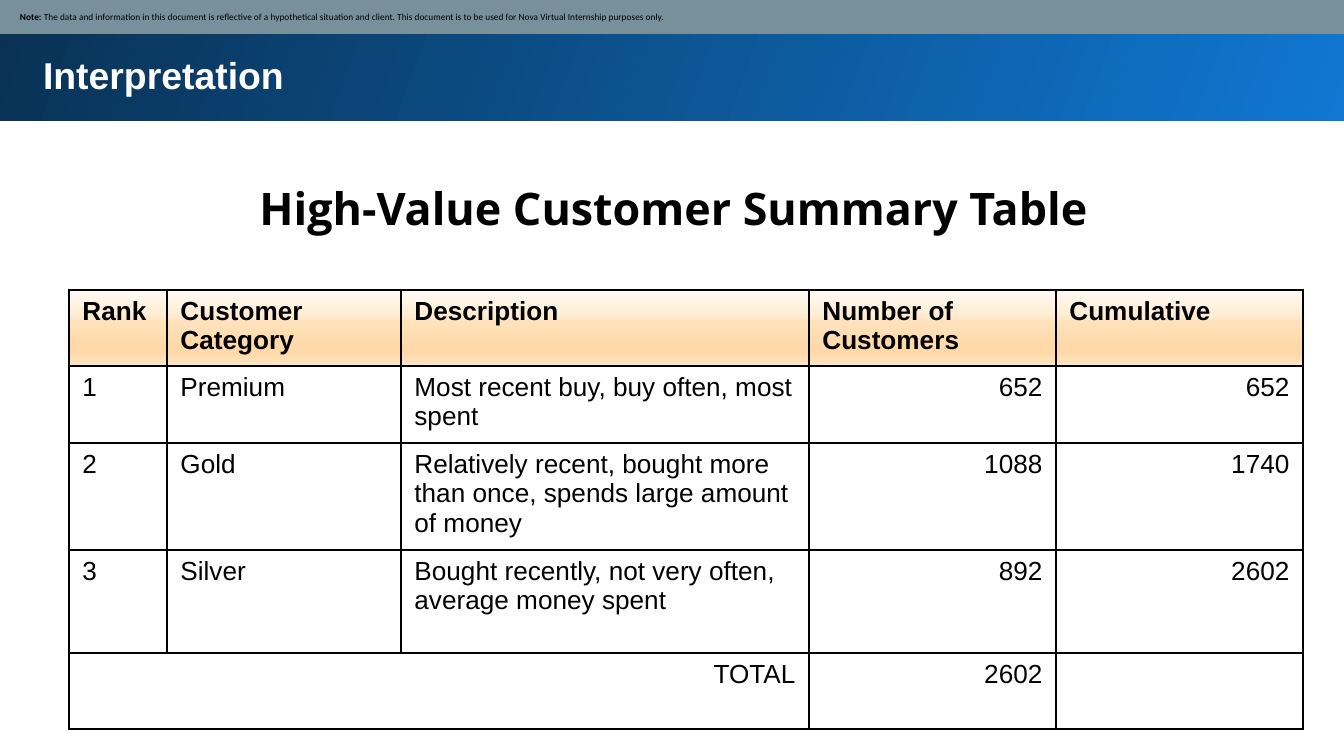
from dataclasses import dataclass
from typing import Any

import lxml.etree
import pptx
import pptx.dml.color
import pptx.enum.shapes
import pptx.enum.text
import pptx.oxml
import pptx.oxml.ns
import pptx.util

ALIGN = pptx.enum.text.PP_ALIGN
ANCHOR = pptx.enum.text.MSO_ANCHOR


def px(n: int) -> int:
    return round(n * 914400 / 134.4)


@dataclass(frozen=True)
class Theme:
    black: str = "000000"
    white: str = "FFFFFF"
    note_fill: str = "78909C"
    band_stops: tuple = ((0, "1077D2"), (100, "093153"))
    header_stops: tuple = ((0, "FFFBF5"), (37, "FFEACF"), (41, "FFE2BC"),
                           (74, "FFD9A9"), (83, "FFD9A9"), (100, "FFE6C6"))
    body_font: str = "Arial"
    heading_font: str = "Open Sans"
    note_font: str = "Calibri"
    title_size: int = 20
    heading_size: int = 24
    table_size: int = 14
    note_size: int = 5
    border: int = 1


@dataclass(frozen=True)
class Box:
    left: int
    top: int
    width: int
    height: int

    def emu(self) -> tuple[int, ...]:
        return tuple(px(n) for n in (self.left, self.top, self.width, self.height))


@dataclass(frozen=True)
class Column:
    title: str
    width: int
    align: Any = ALIGN.LEFT


@dataclass(frozen=True)
class Row:
    height: int
    values: tuple[str, ...]


THEME = Theme()
COLUMNS = (
    Column("Rank", 98),
    Column("Customer Category", 234),
    Column("Description", 408),
    Column("Number of Customers", 247, ALIGN.RIGHT),
    Column("Cumulative", 247, ALIGN.RIGHT),
)
ROWS = (
    Row(76, tuple(c.title for c in COLUMNS)),
    Row(77, ("1", "Premium", "Most recent buy, buy often, most spent", "652", "652")),
    Row(107, ("2", "Gold", "Relatively recent, bought more than once, "
              "spends large amount of money", "1088", "1740")),
    Row(103, ("3", "Silver", "Bought recently, not very often, average money spent",
              "892", "2602")),
    Row(76, ("TOTAL", "", "", "2602", "")),
)


def rgb(color: str) -> pptx.dml.color.RGBColor:
    return pptx.dml.color.RGBColor.from_string(color)


def gradient(stops: tuple, angle: int) -> Any:
    gs = "".join(f'<a:gs pos="{pos * 1000}"><a:srgbClr val="{color}"/></a:gs>'
                 for pos, color in stops)
    return pptx.oxml.parse_xml(
        f'<a:gradFill {pptx.oxml.ns.nsdecls("a")} rotWithShape="1"><a:gsLst>{gs}</a:gsLst>'
        f'<a:lin ang="{angle * 60000}" scaled="0"/></a:gradFill>')


def format_paragraph(p: Any, font: str, size: int, color: str,
                     bold: bool | None = None, align: Any = ALIGN.LEFT) -> None:
    p.alignment = align
    p.font.name, p.font.size, p.font.bold = font, pptx.util.Pt(size), bold
    p.font.color.rgb = rgb(color)


def format_frame(tf: Any, inset: int, anchor: Any = ANCHOR.TOP) -> None:
    tf.word_wrap = True
    tf.auto_size = pptx.enum.text.MSO_AUTO_SIZE.NONE
    tf.vertical_anchor = anchor
    tf.margin_left = tf.margin_right = tf.margin_top = tf.margin_bottom = px(inset)


def add_rect(s: Any, box: Box) -> Any:
    sp = s.shapes.add_shape(pptx.enum.shapes.MSO_SHAPE.RECTANGLE, *box.emu())
    sp.shadow.inherit = False
    sp.line.fill.background()
    return sp


def add_title(s: Any) -> None:
    title = s.shapes.title
    title.left, title.top, title.width, title.height = Box(30, 39, 1259, 112).emu()
    tf = title.text_frame
    format_frame(tf, 13)
    tf.text = "Interpretation"
    format_paragraph(tf.paragraphs[0], THEME.body_font, THEME.title_size, THEME.white, True)

    band = add_rect(s, Box(-3, -3, 1351, 124))
    band.element.spPr.insert(2, gradient(THEME.band_stops, 200))
    title.element.addprevious(band.element)


def add_heading(s: Any) -> None:
    tf = s.shapes.add_textbox(*Box(44, 160, 1259, 90).emu()).text_frame
    format_frame(tf, 13)
    tf.text = "High-Value Customer Summary Table"
    p = tf.paragraphs[0]
    p.line_spacing = 1.15
    format_paragraph(p, THEME.heading_font, THEME.heading_size, THEME.black, True, ALIGN.CENTER)


def add_note(s: Any) -> None:
    sp = add_rect(s, Box(-1, -1, 1348, 35))
    sp.fill.solid()
    sp.fill.fore_color.rgb = rgb(THEME.note_fill)
    tf = sp.text_frame
    format_frame(tf, 7, ANCHOR.MIDDLE)
    tf.margin_left = px(21)
    p = tf.paragraphs[0]
    format_paragraph(p, THEME.note_font, THEME.note_size, THEME.black)
    for text, bold in (
        ("Note: ", True),
        ("The data and information in this document is reflective of a hypothetical "
         "situation and client. This document is to be used for Nova Virtual "
         "Internship purposes only.", False),
    ):
        r = p.add_run()
        r.text, r.font.bold = text, bold


def add_borders(cell: Any) -> None:
    tcPr = cell._tc.get_or_add_tcPr()
    for side in "LRTB":
        ln = lxml.etree.SubElement(tcPr, pptx.oxml.ns.qn(f"a:ln{side}"),
                                   w=str(pptx.util.Pt(THEME.border)))
        fill = lxml.etree.SubElement(ln, pptx.oxml.ns.qn("a:solidFill"))
        lxml.etree.SubElement(fill, pptx.oxml.ns.qn("a:srgbClr"), val=THEME.black)


def add_summary_table(s: Any) -> None:
    box = Box(69, 290, sum(c.width for c in COLUMNS), sum(row.height for row in ROWS))
    table = s.shapes.add_table(len(ROWS), len(COLUMNS), *box.emu()).table
    table.first_row = table.horz_banding = False
    for i, column in enumerate(COLUMNS):
        table.columns[i].width = px(column.width)
    for i, row in enumerate(ROWS):
        table.rows[i].height = px(row.height)
        for j, (column, value) in enumerate(zip(COLUMNS, row.values)):
            cell = table.cell(i, j)
            cell.text = value
            header = i == 0
            align = ALIGN.LEFT if header else ALIGN.RIGHT if value == "TOTAL" else column.align
            format_paragraph(cell.text_frame.paragraphs[0], THEME.body_font,
                             THEME.table_size, THEME.black, header, align)
            add_borders(cell)
            if header:
                cell._tc.get_or_add_tcPr().append(gradient(THEME.header_stops, 90))
            else:
                cell.fill.background()
    last = len(ROWS) - 1
    table.cell(last, 0).merge(table.cell(last, 2))


def main() -> None:
    prs = pptx.Presentation()
    prs.slide_width, prs.slide_height = px(1344), px(756)
    s = prs.slides.add_slide(prs.slide_layouts[5])
    add_title(s)
    add_heading(s)
    add_note(s)
    add_summary_table(s)
    prs.save("out.pptx")


main()
